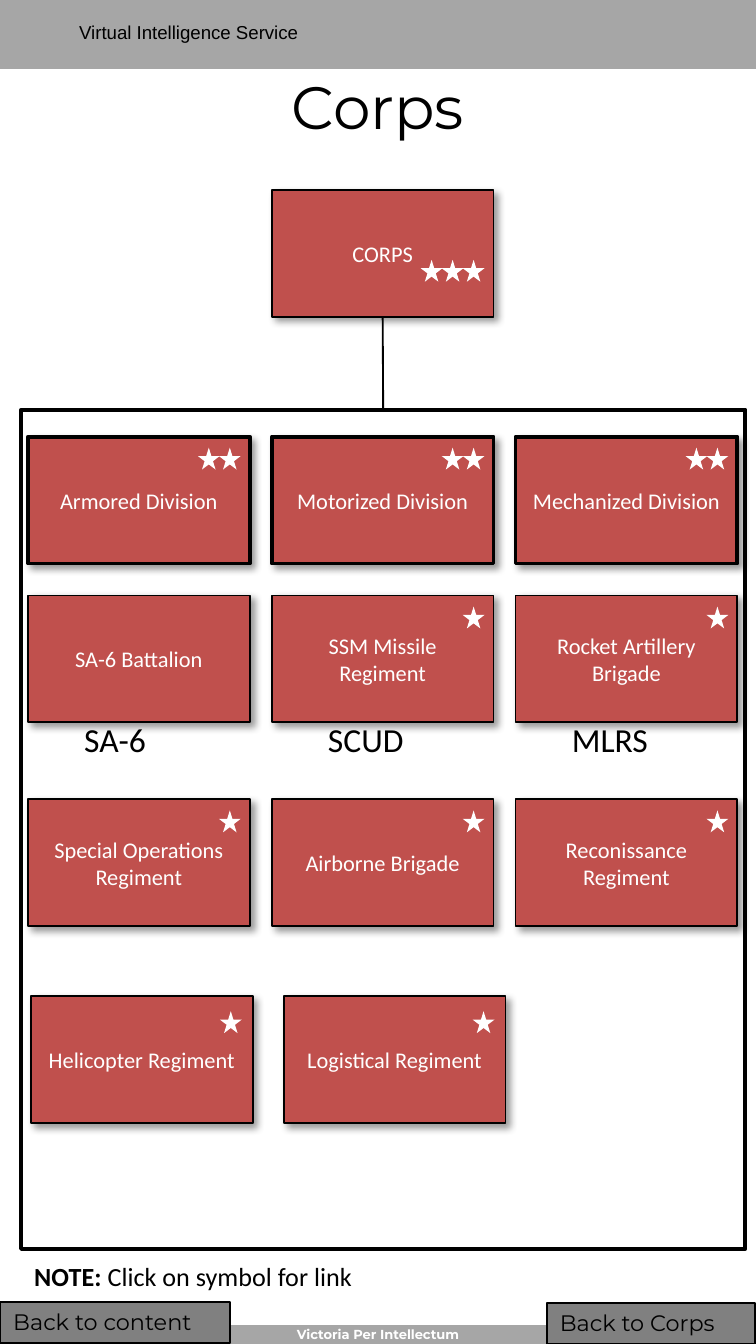
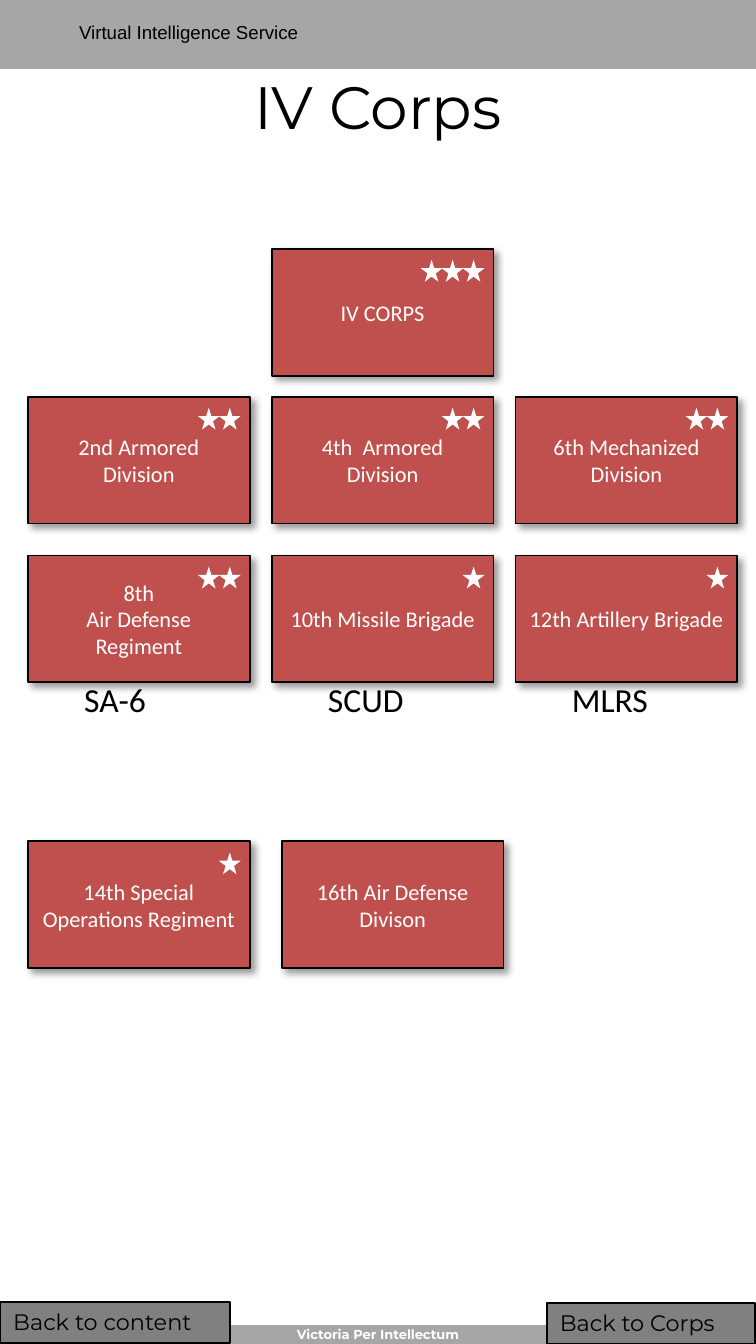
from lxml.etree import SubElement
from pptx import Presentation
from pptx.dml.color import RGBColor
from pptx.enum.shapes import MSO_CONNECTOR, MSO_SHAPE
from pptx.enum.text import MSO_ANCHOR, MSO_AUTO_SIZE, PP_ALIGN
from pptx.oxml.ns import qn
from pptx.util import Pt

BLACK = RGBColor(0x00, 0x00, 0x00)
WHITE = RGBColor(0xFF, 0xFF, 0xFF)
UNIT_RED = RGBColor(0xC0, 0x50, 0x4D)
BAND_GREY = RGBColor(0xA6, 0xA6, 0xA6)
BUTTON_GREY = RGBColor(0x80, 0x80, 0x80)

HEADER = "Virtual Intelligence Service"
MOTTO = "Victoria Per Intellectum"
BUTTONS = [("Back to content", (0, 1303, 230, 41)),
           ("Back to Corps", (547, 1304, 209, 41))]
WEAPONS = ["SA-6", "SCUD", "MLRS"]

SLIDES = [
    {
        "title": "Corps",
        "rows": [
            {"top": 190, "left": 272, "star_dy": 70, "units": [("CORPS", 3)]},
            {"top": 437, "line": 2,
             "units": [("Armored Division", 2), ("Motorized Division", 2),
                       ("Mechanized Division", 2)]},
            {"top": 596, "captions": WEAPONS,
             "units": [("SA-6 Battalion", 0), ("SSM Missile Regiment", 1),
                       ("Rocket Artillery Brigade", 1)]},
            {"top": 800,
             "units": [("Special Operations Regiment", 1), ("Airborne Brigade", 1),
                       ("Reconissance Regiment", 1)]},
            {"top": 997, "left": 31, "pitch": 253, "star_dx": 189, "star_dy": 15,
             "units": [("Helicopter Regiment", 1), ("Logistical Regiment", 1)]},
        ],
        "frame": (21, 410, 725, 840),
        "note": ("NOTE: ", "Click on symbol for link"),
    },
    {
        "title": "IV Corps",
        "rows": [
            {"top": 249, "left": 272, "units": [("IV CORPS", 3)]},
            {"top": 397,
             "units": [("2nd Armored Division", 2), ("4th  Armored Division", 2),
                       ("6th Mechanized Division", 2)]},
            {"top": 556, "captions": WEAPONS,
             "units": [("8th\nAir Defense Regiment", 2), ("10th Missile Brigade", 1),
                       ("12th Artillery Brigade", 1)]},
            {"top": 842, "pitch": 254,
             "units": [("14th Special Operations Regiment", 1),
                       ("16th Air Defense Divison", 0)]},
        ],
    },
]

SLIDE_H = 1345
SLIDE_W = SLIDE_H * 9 / 16
UNIT_W, UNIT_H = 222, 127
LEFT, PITCH = 28, 244
STAR, STAR_PITCH, STAR_DX, STAR_DY = 22, 21, 191, 11
CAPTION_DX, CAPTION_DY = 43, 117


def px(*values):
    return [round(v * 914400 / 134.5) for v in values]


def write(sp, text, size, font="Calibri", color=BLACK, bold=False, lead="",
          align=PP_ALIGN.LEFT, anchor=MSO_ANCHOR.TOP, inset=None):
    tf = sp.text_frame
    tf.word_wrap = True
    tf.auto_size = MSO_AUTO_SIZE.NONE
    tf.vertical_anchor = anchor
    if inset is not None:
        tf.margin_left = tf.margin_right = tf.margin_top = tf.margin_bottom = inset
    for i, line in enumerate(text.split("\n")):
        p = tf.paragraphs[0] if i == 0 else tf.add_paragraph()
        p.alignment = align
        runs = [(line, bold)]
        if lead and i == 0:
            runs.insert(0, (lead, True))
        for words, heavy in runs:
            r = p.add_run()
            r.text = words
            r.font.name, r.font.size, r.font.bold = font, Pt(size), heavy
            r.font.color.rgb = color


def add_text(s, box, text, size, **style):
    sp = s.shapes.add_textbox(*px(*box))
    write(sp, text, size, **style)
    return sp


def add_box(shapes, box, fill=None, line=0, kind=MSO_SHAPE.RECTANGLE):
    sp = shapes.add_shape(kind, *px(*box))
    sp.shadow.inherit = False
    if fill is None:
        sp.fill.background()
    else:
        sp.fill.solid()
        sp.fill.fore_color.rgb = fill
    if line:
        sp.line.color.rgb = BLACK
        sp.line.width = Pt(line)
    else:
        sp.line.fill.background()
    return sp


def add_shadow(sp):
    effects = sp._element.spPr.find(qn("a:effectLst"))
    shadow = SubElement(effects, qn("a:outerShdw"), blurRad=str(Pt(4)),
                        dist=str(Pt(3)), dir="2700000", algn="tl", rotWithShape="0")
    color = SubElement(shadow, qn("a:srgbClr"), val="000000")
    SubElement(color, qn("a:alpha"), val="40000")


def add_stars(s, x, y, count):
    shapes = s.shapes.add_group_shape().shapes if count > 1 else s.shapes
    for i in range(count):
        add_box(shapes, (x - i * STAR_PITCH, y, STAR, STAR), WHITE,
                kind=MSO_SHAPE.STAR_5_POINT)


def add_row(s, top, units, left=LEFT, pitch=PITCH, line=1, star_dx=STAR_DX,
            star_dy=STAR_DY, captions=()):
    boxes = []
    for i, (name, stars) in enumerate(units):
        x = left + i * pitch
        sp = add_box(s.shapes, (x, top, UNIT_W, UNIT_H), UNIT_RED, line)
        add_shadow(sp)
        write(sp, name, 12, color=WHITE, align=PP_ALIGN.CENTER, anchor=MSO_ANCHOR.MIDDLE)
        if stars:
            add_stars(s, x + star_dx, top + star_dy, stars)
        boxes.append(sp)
    for i, caption in enumerate(captions):
        add_text(s, (left + i * pitch + CAPTION_DX, top + CAPTION_DY, 137, 54), caption, 18)
    return boxes


def add_frame(s, box, corps):
    frame = add_box(s.shapes, box, line=2)
    link = s.shapes.add_connector(MSO_CONNECTOR.STRAIGHT, 0, 0, 0, 0)
    link.begin_connect(corps, 2)
    link.end_connect(frame, 0)
    link.line.color.rgb = BLACK
    link.line.width = Pt(1)
    SubElement(link._element.spPr, qn("a:effectLst"))


def dress_layout(layout, s):
    parts = [
        add_box(s.shapes, (0, 0, SLIDE_W, 69), BAND_GREY),
        add_box(s.shapes, (0, 1326, SLIDE_W, 19), BAND_GREY),
        add_text(s, (66, 14, 519, 36), HEADER, 10, font="Arial"),
        add_text(s, (0, 1327, SLIDE_W, 16), MOTTO, 7, font="Montserrat", color=WHITE,
                 bold=True, align=PP_ALIGN.CENTER, inset=0),
    ]
    for i, sp in enumerate(parts):
        layout.shapes._spTree.insert(2 + i, sp._element)


def build_slide(s, content):
    title = s.shapes.title
    title.left, title.top, title.width, title.height = px(0, 69, SLIDE_W, 74)
    write(title, content["title"], 32, font="Montserrat", align=PP_ALIGN.CENTER,
          anchor=MSO_ANCHOR.MIDDLE)
    rows = [add_row(s, **row) for row in content["rows"]]
    if "frame" in content:
        add_frame(s, content["frame"], rows[0][0])
    if "note" in content:
        lead, text = content["note"]
        add_text(s, (21, 1255, 494, 46), text, 14, lead=lead)
    for label, box in BUTTONS:
        write(add_box(s.shapes, box, BUTTON_GREY, 1), label, 12, font="Montserrat")


def main():
    prs = Presentation()
    prs.slide_width, prs.slide_height = px(SLIDE_W, SLIDE_H)
    layout = prs.slide_layouts[5]
    for i, content in enumerate(SLIDES):
        s = prs.slides.add_slide(layout)
        if i == 0:
            dress_layout(layout, s)
        build_slide(s, content)
    prs.save("out.pptx")


if __name__ == "__main__":
    main()
